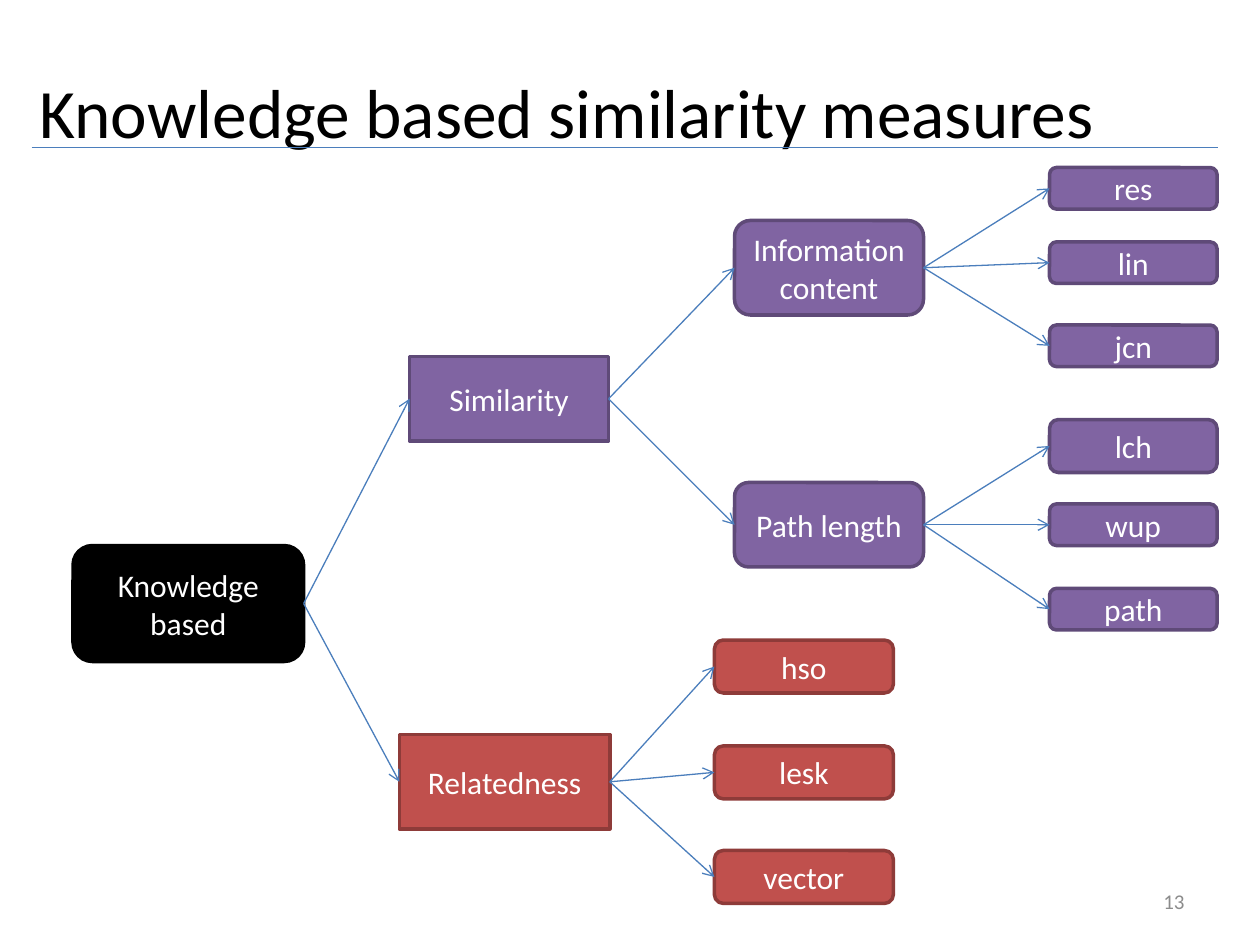
from dataclasses import dataclass

from lxml.etree import SubElement
from pptx import Presentation
from pptx.dml.color import RGBColor
from pptx.enum.shapes import MSO_CONNECTOR, MSO_SHAPE
from pptx.enum.text import MSO_ANCHOR, PP_ALIGN
from pptx.oxml.ns import qn
from pptx.util import Inches, Pt


@dataclass(frozen=True)
class Theme:
    font: str = "Calibri"
    title_size: float = 39.6
    node_size: float = 18
    number_size: float = 12
    title_color: str = "000000"
    node_text: str = "FFFFFF"
    number_color: str = "8C8C8C"
    connector: str = "4B7EBC"
    connector_width: float = 0.75
    outline_width: float = 2
    root: tuple = ("000000", "000000")
    similarity: tuple = ("8064A2", "5F4A78")
    relatedness: tuple = ("C0504D", "8E3B39")


THEME = Theme()
RIGHT_SIDE, LEFT_SIDE = 3, 1

# name: (left, top, width, height, preset shape, (fill, outline))
ROUNDED, SQUARE = MSO_SHAPE.ROUNDED_RECTANGLE, MSO_SHAPE.RECTANGLE
BRANCHES = {
    "Knowledge based": (0.58, 4.33, 1.83, 0.92, ROUNDED, THEME.root),
    "Similarity": (3.25, 2.83, 1.58, 0.67, SQUARE, THEME.similarity),
    "Relatedness": (3.17, 5.83, 1.67, 0.75, SQUARE, THEME.relatedness),
    "Information content": (5.83, 1.75, 1.5, 0.75, ROUNDED, THEME.similarity),
    "Path length": (5.83, 3.83, 1.5, 0.67, ROUNDED, THEME.similarity),
}

# name: (top, height)
SIMILARITY_MEASURES = {
    "res": (1.33, 0.33), "lin": (1.92, 0.33), "jcn": (2.58, 0.33),
    "lch": (3.33, 0.42), "wup": (4, 0.33), "path": (4.67, 0.33),
}
RELATEDNESS_MEASURES = {
    "hso": (5.08, 0.42), "lesk": (5.92, 0.42), "vector": (6.75, 0.42),
}

CHILDREN = {
    "Similarity": ("Path length", "Information content"),
    "Knowledge based": ("Similarity", "Relatedness"),
    "Information content": ("res", "lin", "jcn"),
    "Path length": ("lch", "wup", "path"),
    "Relatedness": ("hso", "lesk", "vector"),
}


def color(value):
    return RGBColor.from_string(value)


def write_text(shape, text, *, size, text_color, align=PP_ALIGN.CENTER):
    frame = shape.text_frame
    frame.word_wrap = True
    frame.vertical_anchor = MSO_ANCHOR.MIDDLE
    paragraph = frame.paragraphs[0]
    paragraph.alignment = align
    run = paragraph.add_run()
    run.text = text
    run.font.name = THEME.font
    run.font.size = Pt(size)
    run.font.color.rgb = color(text_color)


def add_text(slide, text, left, top, width, height, **text_format):
    box = slide.shapes.add_textbox(
        Inches(left), Inches(top), Inches(width), Inches(height))
    write_text(box, text, **text_format)


def add_node(slide, text, left, top, width, height, preset, colors):
    shape = slide.shapes.add_shape(
        preset, Inches(left), Inches(top), Inches(width), Inches(height))
    fill, outline = colors
    shape.shadow.inherit = False
    shape.fill.solid()
    shape.fill.fore_color.rgb = color(fill)
    shape.line.color.rgb = color(outline)
    shape.line.width = Pt(THEME.outline_width)
    write_text(shape, text, size=THEME.node_size, text_color=THEME.node_text)
    return shape


def add_line(slide, start=(0, 0), end=(0, 0)):
    points = [Inches(value) for value in (*start, *end)]
    line = slide.shapes.add_connector(MSO_CONNECTOR.STRAIGHT, *points)
    line.line.color.rgb = color(THEME.connector)
    line.line.width = Pt(THEME.connector_width)
    SubElement(line.element.spPr, qn("a:effectLst"))
    return line


def add_arrow(slide, parent, child):
    arrow = add_line(slide)
    arrow.begin_connect(parent, RIGHT_SIDE)
    arrow.end_connect(child, LEFT_SIDE)
    outline = arrow.element.spPr.find(qn("a:ln"))
    SubElement(outline, qn("a:tailEnd"), type="arrow")


def add_tree(slide):
    nodes = {name: add_node(slide, name, *place)
             for name, place in BRANCHES.items()}
    columns = (
        (SIMILARITY_MEASURES, 8.33, 1.33, THEME.similarity),
        (RELATEDNESS_MEASURES, 5.67, 1.42, THEME.relatedness),
    )
    for measures, left, width, colors in columns:
        for name, (top, height) in measures.items():
            nodes[name] = add_node(
                slide, name, left, top, width, height, ROUNDED, colors)
    for parent, children in CHILDREN.items():
        for child in children:
            add_arrow(slide, nodes[parent], nodes[child])


def main():
    presentation = Presentation()
    presentation.slide_width = Inches(10)
    presentation.slide_height = Inches(7.5)
    slide = presentation.slides.add_slide(presentation.slide_layouts[6])
    add_text(slide, "Knowledge based similarity measures", 0, 0.25, 9, 1.25,
             size=THEME.title_size, text_color=THEME.title_color)
    add_line(slide, (0.25, 1.17), (9.67, 1.17))
    add_tree(slide)
    add_text(slide, "13", 7.17, 6.95, 2.33, 0.4, size=THEME.number_size,
             text_color=THEME.number_color, align=PP_ALIGN.RIGHT)
    presentation.save("out.pptx")


if __name__ == "__main__":
    main()
